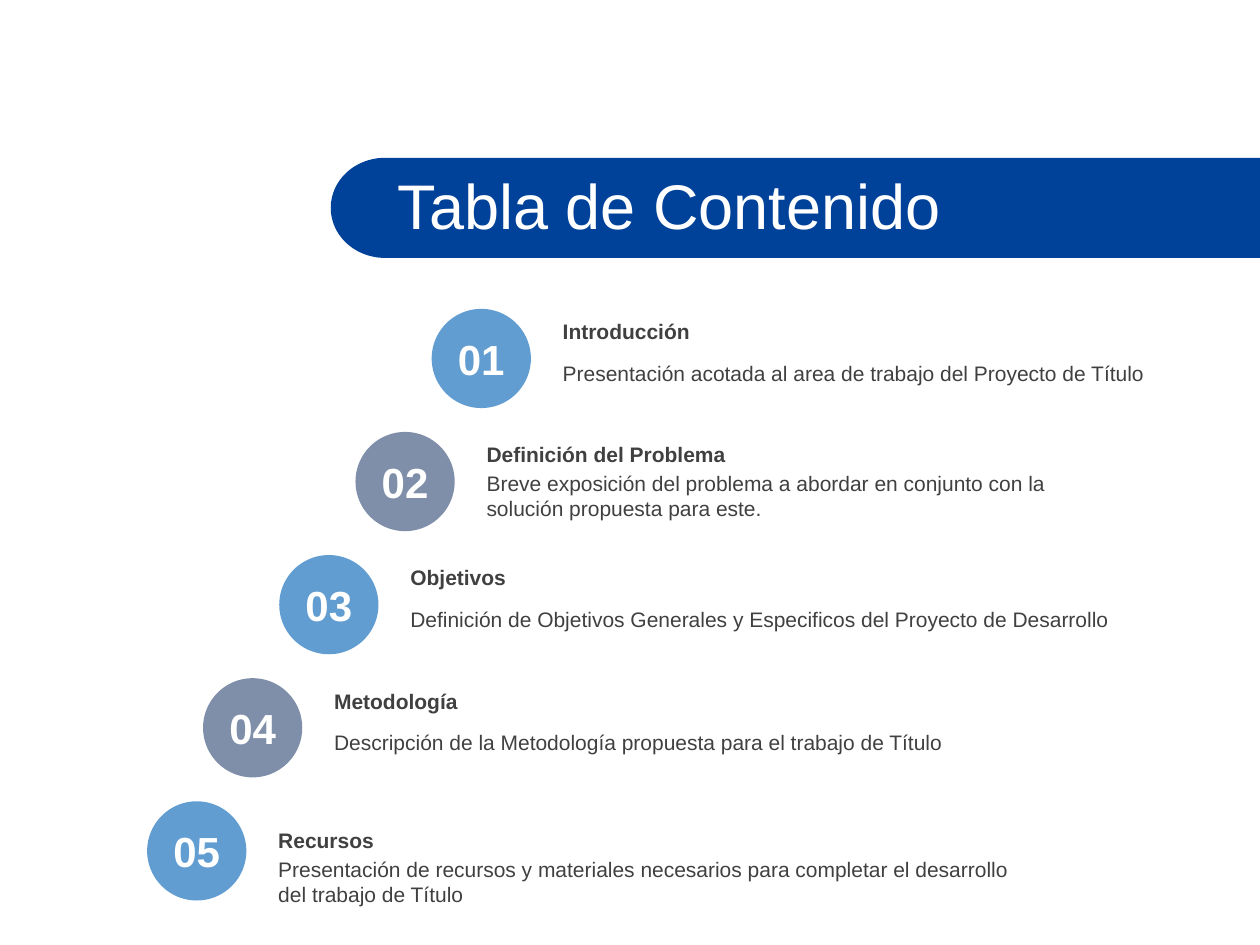
from math import cos, pi, sin

from pptx import Presentation
from pptx.dml.color import RGBColor as RGB
from pptx.enum.shapes import MSO_SHAPE as SHAPE
from pptx.enum.text import MSO_ANCHOR as ANCHOR, MSO_AUTO_SIZE as FIT, PP_ALIGN as ALIGN
from pptx.util import Pt

# Content: heading, description, text width, description height
TITLE = "Tabla de Contenido"
ITEMS = [
    ("Introducción",
     "Presentación acotada al area de trabajo del Proyecto de Título", 363, 21.8),
    ("Definición del Problema",
     "Breve exposición del problema a abordar en conjunto con la solución "
     "propuesta para este.", 380, 36.4),
    ("Objetivos",
     "Definición de Objetivos Generales y Especificos del Proyecto de Desarrollo",
     450, 36.4),
    ("Metodología",
     "Descripción de la Metodología propuesta para el trabajo de Título", 363, 21.8),
    ("Recursos",
     "Presentación de recursos y materiales necesarios para completar el "
     "desarrollo del trabajo de Título", 433.5, 36.4),
]
COLORS = {"band": "004299", "odd": "629DD1", "even": "7F8FA9",
          "text": "404040", "white": "FFFFFF"}

# Layout
WIDTH, HEIGHT = 720, 540
BAND_X, BAND_Y, BAND_H, CURVE = 190, 91.2, 55.2, 30
DOT, TOP, STEP_Y = 56.7, 176.5, 70.35
LEFT, STEP_X, LAST_X = 246.7, 43.55, 84.1
GAP, HEAD_MID, BODY_MID, LAST_DROP = 67.8, 12.8, 36.6, 9.4
HEAD_H, NUM_H = 21.8, 36.4


def color(name):
    return RGB.from_string(COLORS[name])


def add_text(shapes, text, x, mid, w, h, size, tone, bold=False, align=None, fit=FIT.SHAPE_TO_FIT_TEXT):
    box = shapes.add_textbox(Pt(x), Pt(mid - h / 2), Pt(w), Pt(h))
    frame = box.text_frame
    frame.text = text
    frame.word_wrap = True
    frame.auto_size = fit
    frame.vertical_anchor = ANCHOR.MIDDLE
    para = frame.paragraphs[0]
    para.alignment = align
    font = para.runs[0].font
    font.name, font.size, font.bold = "Arial", Pt(size), bold
    font.color.rgb = color(tone)


prs = Presentation()
prs.slide_width, prs.slide_height = Pt(WIDTH), Pt(HEIGHT)
slide = prs.slides.add_slide(prs.slide_layouts[6])
shapes = slide.shapes

# Title band with a rounded left end
mid, half = BAND_Y + BAND_H / 2, BAND_H / 2
arc = [(BAND_X + CURVE * (1 - sin(pi * i / 60)), mid + half * cos(pi * i / 60))
       for i in range(61)]
pts = [(Pt(x), Pt(y)) for x, y in
       [(WIDTH, BAND_Y), (WIDTH, BAND_Y + BAND_H)] + arc]
build = shapes.build_freeform(*pts[0])
build.add_line_segments(pts[1:], close=True)
band = build.convert_to_shape()
band.shadow.inherit = False
band.fill.solid()
band.fill.fore_color.rgb = band.line.color.rgb = color("band")
band.line.width = Pt(2)
add_text(shapes, TITLE, 220.3, 117, 499.7, 45.4, 36, "white", fit=FIT.NONE)

# Stepped list: the last row breaks the slant and sits lower
for i, (head, body, wide, tall) in enumerate(ITEMS):
    last = i == len(ITEMS) - 1
    x = LAST_X if last else LEFT - i * STEP_X
    y = TOP + i * STEP_Y
    drop = LAST_DROP if last else 0

    dot = shapes.add_shape(SHAPE.OVAL, Pt(x), Pt(y), Pt(DOT), Pt(DOT))
    dot.shadow.inherit = False
    dot.fill.solid()
    dot.fill.fore_color.rgb = color("even" if i % 2 else "odd")
    dot.line.fill.background()

    group = shapes.add_group_shape().shapes
    add_text(group, body, x + GAP, y + BODY_MID + drop, wide, tall, 12, "text")
    add_text(group, head, x + GAP, y + HEAD_MID + drop, wide, HEAD_H, 12, "text", True)
    add_text(shapes, f"{i + 1:02}", x, y + DOT / 2, DOT, NUM_H, 24, "white", True, ALIGN.CENTER)

prs.save("out.pptx")
